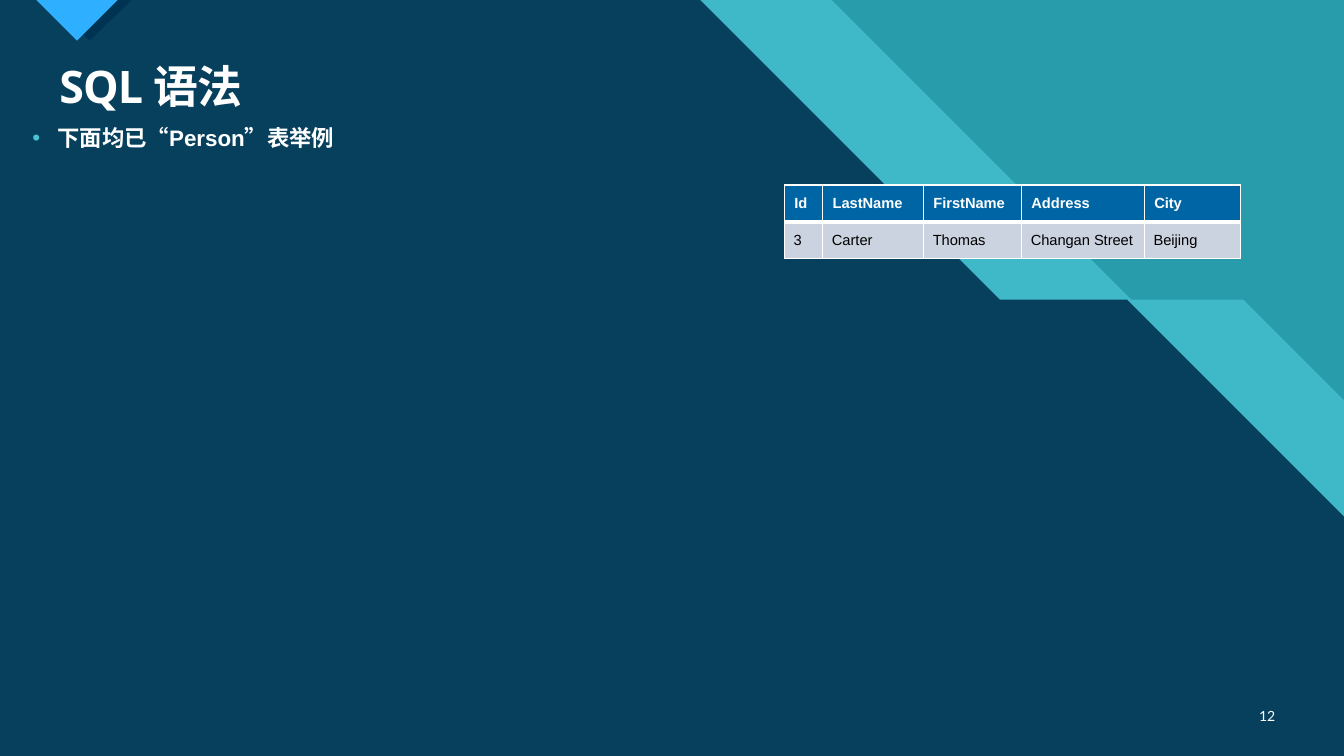
from pptx import Presentation
from pptx.util import Pt
from pptx.dml.color import RGBColor
from pptx.enum.text import MSO_ANCHOR, PP_ALIGN
from pptx.oxml import parse_xml
from pptx.oxml.ns import nsdecls, qn
from lxml.etree import SubElement

COLORS = {
    "teal": "299CAB", "aqua": "47C3D3", "navy": "003352", "sky": "2FAFFF",
    "white": "FFFFFF", "black": "000000", "header": "0065A4", "row": "CCD3E0",
}

prs = Presentation()
prs.slide_width, prs.slide_height = Pt(960), Pt(540)
slide = prs.slides.add_slide(prs.slide_layouts[5])
slide.background.fill.solid()
slide.background.fill.fore_color.rgb = RGBColor.from_string(COLORS["teal"])


def add_polygon(points, color, opacity=100):
    builder = slide.shapes.build_freeform(*points[0], scale=Pt(1))
    builder.add_line_segments(points[1:], close=True)
    polygon = builder.convert_to_shape()
    polygon.shadow.inherit = False
    polygon.line.fill.background()
    polygon.fill.solid()
    polygon.fill.fore_color.rgb = RGBColor.from_string(COLORS[color])
    if opacity < 100:
        srgb = polygon.fill._xPr.find(".//" + qn("a:srgbClr"))
        SubElement(srgb, qn("a:alpha"), val=str(opacity * 1000))


def style_text(paragraph, size, font, color="white", bold=False):
    for run in paragraph.runs:
        run.font.size, run.font.name, run.font.bold = Pt(size), font, bold
        run.font.color.rgb = RGBColor.from_string(COLORS[color])


# Stepped diagonal bands
for top_x, step_x, edge_y, color, opacity in [
    (594, 888.5, 286, "aqua", 74),
    (500, 805, 369, "navy", 90),
]:
    add_polygon([(0, 0), (top_x, 0), (top_x + 214, 214), (step_x, 214),
                 (960, edge_y), (960, 540), (0, 540)], color, opacity)

# Corner marker and its shade
for left, color in [(35, "navy"), (26, "sky")]:
    add_polygon([(left, 0), (left + 58.5, 0), (left + 29.25, 29.25)], color)

# Title, brought in front of the bands
title = slide.shapes.title
slide.shapes._spTree.append(title._element)
title.left, title.top, title.width, title.height = Pt(35.3), Pt(42.5), Pt(883), Pt(42.5)
title.text_frame.text = "SQL 语法"
title.text_frame.vertical_anchor = MSO_ANCHOR.MIDDLE
heading = title.text_frame.paragraphs[0]
heading.alignment = PP_ALIGN.LEFT
heading.line_spacing = 0.9
style_text(heading, 32, "Noto Sans", bold=True)
heading.runs[0].font._element.set("spc", "-70")

# Slide number
number = slide.shapes.add_textbox(Pt(886.5), Pt(497), Pt(31.5), Pt(28.8)).text_frame
number.word_wrap = True
number.vertical_anchor = MSO_ANCHOR.MIDDLE
number.text = "12"
number.paragraphs[0].alignment = PP_ALIGN.RIGHT
style_text(number.paragraphs[0], 10, "Lato")

# Person table
people = [
    ["Id", "LastName", "FirstName", "Address", "City"],
    ["3", "Carter", "Thomas", "Changan Street", "Beijing"],
]
widths = [27.4, 72, 70, 87.8, 68.6]
row_styles = [("header", "white", True, 7, 3), ("row", "black", False, 6.5, 1)]
person = slide.shapes.add_table(2, 5, Pt(560.4), Pt(132.2), Pt(sum(widths)), Pt(51)).table
for column, width in zip(person.columns, widths):
    column.width = Pt(width)
for r, (fill, ink, bold, inset, rule) in enumerate(row_styles):
    person.rows[r].height = Pt(26 - r)
    for c, value in enumerate(people[r]):
        cell = person.cell(r, c)
        cell.text = value
        cell.vertical_anchor = MSO_ANCHOR.MIDDLE
        cell.margin_left = cell.margin_right = Pt(inset)
        cell.margin_top = cell.margin_bottom = Pt(inset)
        style_text(cell.text_frame.paragraphs[0], 10.5, "Arial", ink, bold)
        # Borders precede the fill in the cell properties
        edges = {"L": 1, "R": 1, "T": 1 if r == 0 else 3, "B": rule}
        for edge, weight in edges.items():
            cell._tc.get_or_add_tcPr().append(parse_xml(
                f'<a:ln{edge} {nsdecls("a")} w="{Pt(weight)}"><a:solidFill>'
                f'<a:srgbClr val="{COLORS["white"]}"/></a:solidFill></a:ln{edge}>'))
        cell.fill.solid()
        cell.fill.fore_color.rgb = RGBColor.from_string(COLORS[fill])

# Bullet line
intro = slide.shapes.add_textbox(Pt(16), Pt(85), Pt(529), Pt(126)).text_frame
intro.word_wrap = True
intro.text = "下面均已“Person”表举例"
bullet = intro.paragraphs[0]
bullet.space_before, bullet.space_after = Pt(6), Pt(4)
style_text(bullet, 16, "Arial", bold=True)
props = bullet._p.get_or_add_pPr()
props.set("marL", str(Pt(18)))
props.set("indent", str(Pt(-18)))
bullet_color = SubElement(props, qn("a:buClr"))
SubElement(bullet_color, qn("a:srgbClr"), val=COLORS["aqua"])
SubElement(props, qn("a:buFont"), typeface="Arial")
SubElement(props, qn("a:buChar"), char="•")

prs.save("out.pptx")
